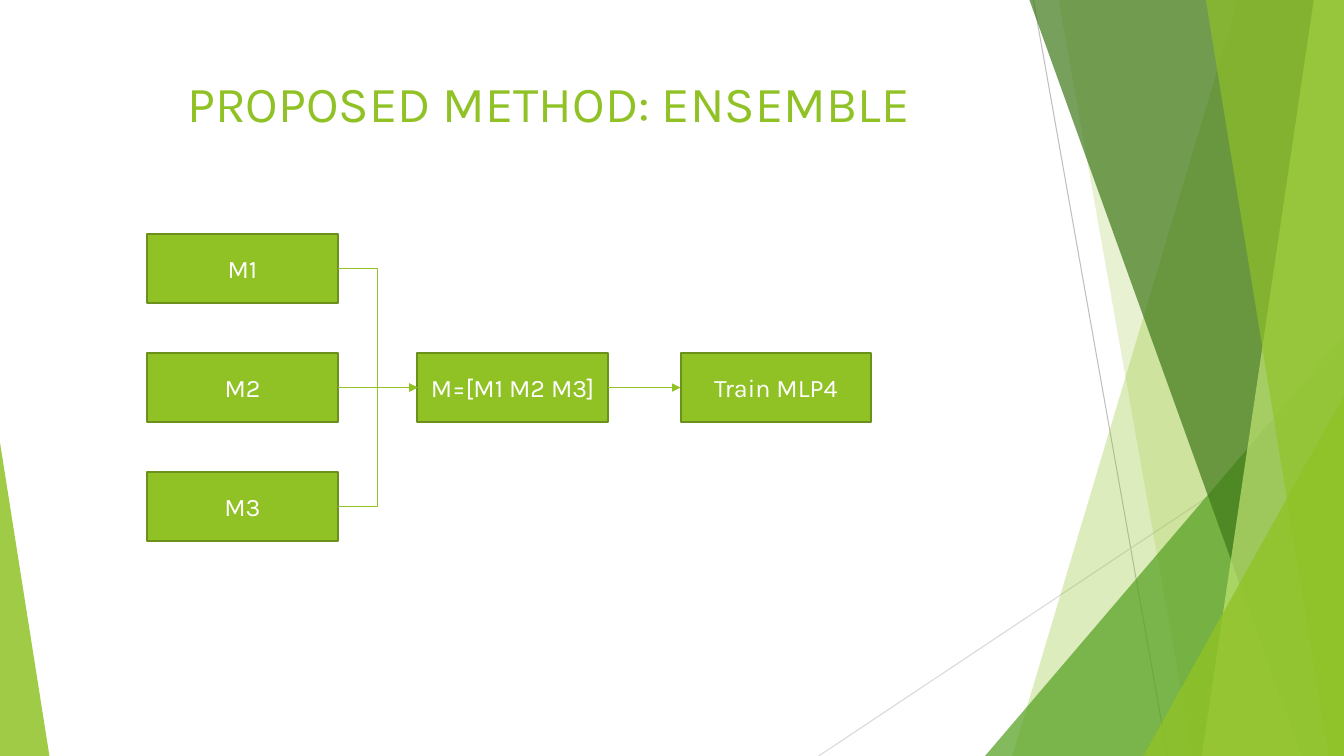
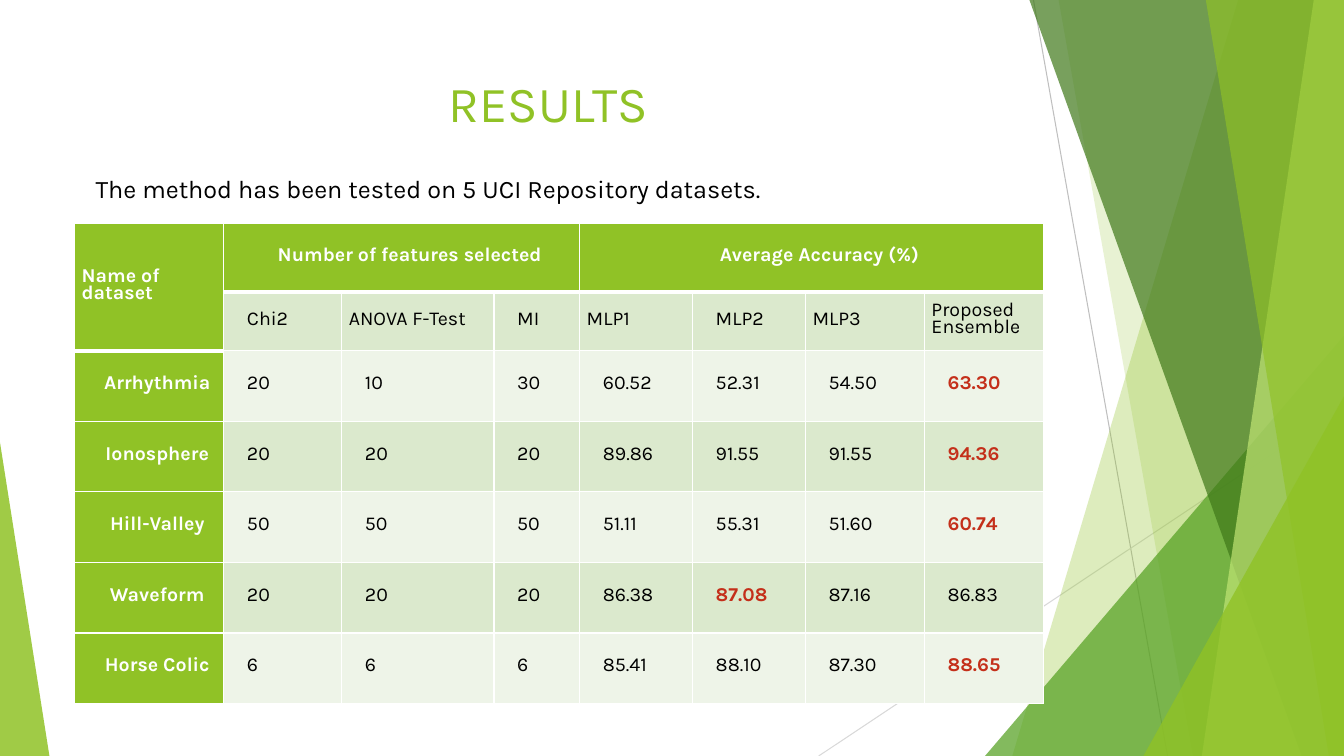
from dataclasses import dataclass

from lxml import etree
from pptx import Presentation
from pptx.dml.color import RGBColor
from pptx.enum.shapes import MSO_CONNECTOR, MSO_SHAPE
from pptx.enum.text import MSO_ANCHOR, PP_ALIGN
from pptx.oxml.ns import qn
from pptx.util import Inches, Pt

STRAIGHT, ELBOW = MSO_CONNECTOR.STRAIGHT, MSO_CONNECTOR.ELBOW
RECTANGLE, TRIANGLE = MSO_SHAPE.RECTANGLE, MSO_SHAPE.ISOSCELES_TRIANGLE
LEFT, CENTER, JUSTIFY = PP_ALIGN.LEFT, PP_ALIGN.CENTER, PP_ALIGN.JUSTIFY
MIDDLE = MSO_ANCHOR.MIDDLE


@dataclass(frozen=True)
class Theme:
    """Colours, font and type sizes of the deck."""
    font: str = "Karla"
    green: str = "90C226"
    mid_green: str = "54A021"
    dark_green: str = "3F7819"
    pale_green: str = "C0E474"
    outline: str = "6B901C"
    band_dark: str = "DBE9CD"
    band_light: str = "EEF4E8"
    grey: str = "BFBFBF"
    light_grey: str = "D9D9D9"
    white: str = "FFFFFF"
    black: str = "000000"
    red: str = "C42F1A"
    title_size: int = 36
    body_size: int = 18
    table_size: int = 14


theme = Theme()
WIDTH, HEIGHT = 13.33, 7.5


def write(frame, text, size, colour, align=LEFT, bold=False):
    """Put one styled paragraph in a text frame and return it."""
    paragraph = frame.paragraphs[0]
    paragraph.text = text
    paragraph.alignment = align
    paragraph.font.name = theme.font
    paragraph.font.size = Pt(size)
    paragraph.font.bold = bold
    paragraph.font.color.rgb = RGBColor.from_string(colour)
    return paragraph


def draw_line(slide, kind, start, end, colour, width):
    """Draw a connector without shadow between two points in inches."""
    connector = slide.shapes.add_connector(
        kind, *(Inches(value) for value in (*start, *end)))
    connector.line.color.rgb = RGBColor.from_string(colour)
    connector.line.width = Pt(width)
    etree.SubElement(connector._element.spPr, qn("a:effectLst"))
    return connector


presentation = Presentation()
presentation.slide_width = Inches(WIDTH)
presentation.slide_height = Inches(HEIGHT)
blank = presentation.slide_layouts[6]
for placeholder in list(blank.placeholders):
    blank.shapes.element.remove(placeholder.element)

method_slide = presentation.slides.add_slide(blank)
results_slide = presentation.slides.add_slide(blank)

# Backdrop: drawn once, then moved to the layout that both slides use
draw_line(method_slide, STRAIGHT, (10.25, 0), (11.58, HEIGHT), theme.grey, 0.75)
draw_line(method_slide, STRAIGHT, (WIDTH, 4.03), (8.12, HEIGHT), theme.light_grey, 0.75)

# A sash holds the x of its left edge at top and bottom;
# a triangle holds left, top, width and apex position.
facets = [
    ((12.28, 10.04), theme.green, 30),
    ((10.5, 11.83), theme.green, 20),
    ((9.77, 3.33, 3.56, 1), theme.mid_green, 72),
    ((10.21, 12.91), theme.dark_green, 70),
    ((13.03, 11.92), theme.pale_green, 70),
    ((11.96, 13.18), theme.green, 65),
    ((11.34, 3.93, 1.99, 1), theme.green, 80),
    ((0, 4.39, 0.49, 0), theme.green, 85),
]
for outline, colour, opacity in facets:
    if len(outline) == 2:
        top_x, bottom_x = outline
        builder = method_slide.shapes.build_freeform(Inches(top_x), 0)
        corners = [(WIDTH, 0), (WIDTH, HEIGHT), (bottom_x, HEIGHT)]
        builder.add_line_segments([(Inches(x), Inches(y)) for x, y in corners])
        facet = builder.convert_to_shape()
    else:
        left, top, width, apex = outline
        facet = method_slide.shapes.add_shape(
            TRIANGLE, Inches(left), Inches(top), Inches(width), Inches(HEIGHT - top))
        facet.adjustments[0] = apex
    facet.shadow.inherit = False
    facet.line.fill.background()
    facet.fill.solid()
    facet.fill.fore_color.rgb = RGBColor.from_string(colour)
    rgb = facet._element.spPr.find(qn("a:solidFill")).find(qn("a:srgbClr"))
    etree.SubElement(rgb, qn("a:alpha"), val=str(opacity * 1000))

for shape in list(method_slide.shapes):
    blank.shapes.element.append(shape.element)

# Titles
for slide, title in ((method_slide, "PROPOSED METHOD: ENSEMBLE"),
                     (results_slide, "RESULTS")):
    title_box = slide.shapes.add_textbox(
        Inches(0.74), Inches(0.67), Inches(9.4), Inches(0.83))
    title_box.text_frame.word_wrap = True
    write(title_box.text_frame, title, theme.title_size, theme.green, CENTER)

# Method: three models feed one combined input, which trains the last network
BOX_WIDTH, BOX_HEIGHT = 1.89, 0.69
FIRST_TOP, ROW_STEP = 2.32, 1.18
MIDDLE_TOP = FIRST_TOP + ROW_STEP
steps = [(f"M{row + 1}", 1.46, FIRST_TOP + row * ROW_STEP) for row in range(3)]
steps += [("M=[M1 M2 M3]", 4.14, MIDDLE_TOP), ("Train MLP4", 6.75, MIDDLE_TOP)]
boxes = []
for label, left, top in steps:
    box = method_slide.shapes.add_shape(
        RECTANGLE, Inches(left), Inches(top), Inches(BOX_WIDTH), Inches(BOX_HEIGHT))
    box.shadow.inherit = False
    box.fill.solid()
    box.fill.fore_color.rgb = RGBColor.from_string(theme.green)
    box.line.color.rgb = RGBColor.from_string(theme.outline)
    box.line.width = Pt(1.5)
    box.text_frame.vertical_anchor = MIDDLE
    write(box.text_frame, label, theme.body_size, theme.white, CENTER)
    boxes.append(box)

RIGHT_SITE, LEFT_SITE = 3, 1
for source, target in ((0, 3), (1, 3), (2, 3), (3, 4)):
    _, source_left, source_top = steps[source]
    _, target_left, target_top = steps[target]
    arrow = draw_line(
        method_slide, STRAIGHT if source_top == target_top else ELBOW,
        (source_left + BOX_WIDTH, source_top + BOX_HEIGHT / 2),
        (target_left, target_top + BOX_HEIGHT / 2), theme.green, 1)
    arrow.begin_connect(boxes[source], RIGHT_SITE)
    arrow.end_connect(boxes[target], LEFT_SITE)
    etree.SubElement(arrow.line._get_or_add_ln(), qn("a:tailEnd"), type="triangle")

# Results table
header = ["Name of dataset", "Number of features selected", "", "",
          "Average Accuracy (%)", "", "", ""]
rows = [
    header,
    ["", "Chi2", "ANOVA F-Test", "MI", "MLP1", "MLP2", "MLP3", "Proposed Ensemble"],
    ["Arrhythmia", "20", "10", "30", "60.52", "52.31", "54.50", "63.30"],
    ["Ionosphere", "20", "20", "20", "89.86", "91.55", "91.55", "94.36"],
    ["Hill-Valley", "50", "50", "50", "51.11", "55.31", "51.60", "60.74"],
    ["Waveform", "20", "20", "20", "86.38", "87.08", "87.16", "86.83"],
    ["Horse Colic", "6", "6", "6", "85.41", "88.10", "87.30", "88.65"],
]
column_widths = [1.48, 1.17, 1.51, 0.85, 1.12, 1.12, 1.18, 1.18]
row_heights = [0.68, 0.58] + [0.7] * 5
highlights = {(2, 7), (3, 7), (4, 7), (5, 5), (6, 7)}
unindented = {(0, 0), (1, 2), (1, 4), (1, 6), (1, 7)}

table = results_slide.shapes.add_table(
    len(rows), len(header), Inches(0.74), Inches(2.22),
    Inches(sum(column_widths)), Inches(sum(row_heights))).table
table.first_row = table.horz_banding = False
for column, width in zip(table.columns, column_widths):
    column.width = Inches(width)
for row, height in zip(table.rows, row_heights):
    row.height = Inches(height)
for first, last in (((0, 0), (1, 0)), ((0, 1), (0, 3)), ((0, 4), (0, 7))):
    table.cell(*first).merge(table.cell(*last))

for r, values in enumerate(rows):
    for c, text in enumerate(values):
        cell = table.cell(r, c)
        is_header = r == 0 or c == 0
        heavy_top = (r == 1 and c > 0) or (r == 2 and c == 0)
        heavy_bottom = r == 0 or (r == 1 and c == 0)
        properties = cell._tc.get_or_add_tcPr()
        for side, points in (("L", 1), ("R", 1), ("T", 3 if heavy_top else 1),
                             ("B", 3 if heavy_bottom else 1)):
            border = etree.SubElement(
                properties, qn(f"a:ln{side}"), w=str(Pt(points)))
            border_fill = etree.SubElement(border, qn("a:solidFill"))
            etree.SubElement(border_fill, qn("a:srgbClr"), val=theme.white)
        band = theme.band_dark if r % 2 else theme.band_light
        cell.fill.solid()
        cell.fill.fore_color.rgb = RGBColor.from_string(
            theme.green if is_header else band)
        cell.vertical_anchor = MIDDLE
        cell.margin_left = cell.margin_right = Inches(0.07)
        cell.margin_top = cell.margin_bottom = 0
        if not text:
            continue
        highlighted = (r, c) in highlights
        colour = theme.white if is_header else theme.black
        align = CENTER if is_header else JUSTIFY
        paragraph = write(
            cell.text_frame, text, theme.table_size,
            theme.red if highlighted else colour,
            LEFT if (r, c) == (0, 0) else align, is_header or highlighted)
        paragraph.line_spacing = Pt(12)
        if (r, c) not in unindented:
            paragraph._p.get_or_add_pPr().set("indent", str(Inches(0.16)))

summary = results_slide.shapes.add_textbox(
    Inches(0.85), Inches(1.67), Inches(6.83), Inches(0.4))
summary.text_frame.word_wrap = False
write(summary.text_frame, "The method has been tested on 5 UCI Repository datasets.",
      theme.body_size, theme.black)

presentation.save("out.pptx")
